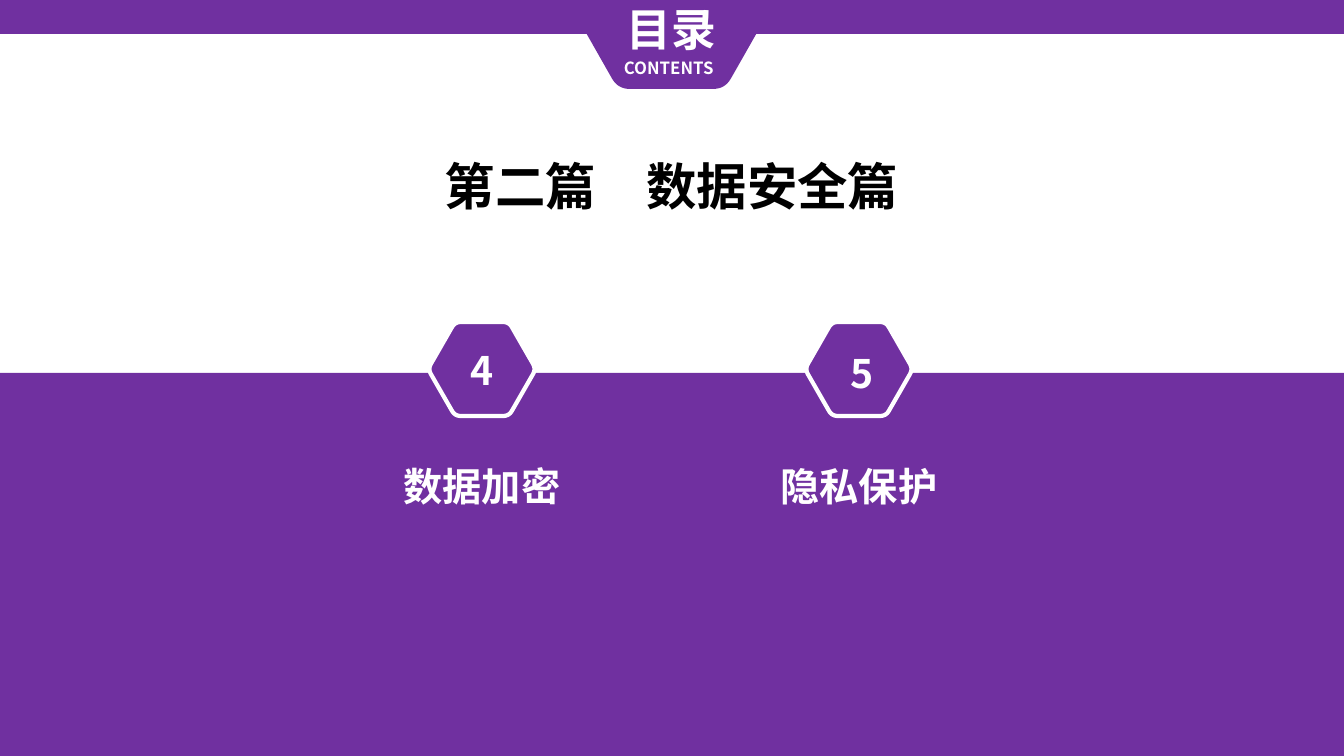
from dataclasses import dataclass
from math import dist

from pptx import Presentation
from pptx.dml.color import RGBColor
from pptx.enum.shapes import MSO_SHAPE
from pptx.enum.text import MSO_ANCHOR, MSO_AUTO_SIZE, PP_ALIGN
from pptx.oxml.ns import qn
from pptx.util import Emu, Pt

PAGE_WIDTH, PAGE_HEIGHT = 1344, 756
EMU_PER_PX = 12192000 / PAGE_WIDTH


@dataclass(frozen=True)
class Theme:
    font: str = "Noto Sans CJK SC"
    purple: RGBColor = RGBColor(0x70, 0x30, 0xA0)
    white: RGBColor = RGBColor(0xFF, 0xFF, 0xFF)
    black: RGBColor = RGBColor(0, 0, 0)
    title_size: int = 36
    heading_size: int = 32
    item_size: int = 28
    caption_size: int = 12
    outline: int = 3


THEME = Theme()


def px(length):
    return Emu(round(length * EMU_PER_PX))


def place(box, left, top, width, height):
    box.left, box.top, box.width, box.height = map(px, (left, top, width, height))


def write(box, text, size, color, align=PP_ALIGN.CENTER):
    box.text_frame.text = text
    para = box.text_frame.paragraphs[0]
    para.alignment = align
    span = para.runs[0]
    span.font.name = THEME.font
    span.font.size = Pt(size)
    span.font.bold = True
    span.font.color.rgb = color
    east_asian = span.font._element.makeelement(qn("a:ea"), {"typeface": THEME.font})
    span.font._element.find(qn("a:latin")).addnext(east_asian)
    return para


def add_text(page, text, area, size, align=PP_ALIGN.CENTER, wrap=True):
    box = page.shapes.add_textbox(*map(px, area))
    frame = box.text_frame
    frame.word_wrap = wrap
    frame.auto_size = MSO_AUTO_SIZE.SHAPE_TO_FIT_TEXT
    if wrap:
        frame.margin_left = frame.margin_right = px(7)
        frame.margin_top = frame.margin_bottom = px(4)
    write(box, text, size, THEME.white, align)


def paint(shape, outlined=False):
    shape.shadow.inherit = False
    shape.fill.solid()
    shape.fill.fore_color.rgb = THEME.purple
    if outlined:
        shape.line.color.rgb = THEME.white
        shape.line.width = Pt(THEME.outline)
    else:
        shape.line.fill.background()


def add_band(page, top, height):
    band = page.shapes.add_shape(
        MSO_SHAPE.RECTANGLE, px(0), px(top), px(PAGE_WIDTH), px(height))
    paint(band)


def toward(start, end, distance):
    share = distance / dist(start, end)
    return tuple(a + (b - a) * share for a, b in zip(start, end))


def round_corner(before, corner, after, cut, steps=8):
    """Return points of a quadratic curve that starts and ends cut px from the corner."""
    if not cut:
        return [corner]
    first, last = toward(corner, before, cut), toward(corner, after, cut)
    return [
        tuple((1 - t) ** 2 * a + 2 * t * (1 - t) * b + t ** 2 * c
              for a, b, c in zip(first, corner, last))
        for t in (step / steps for step in range(steps + 1))
    ]


def add_rounded_polygon(page, corners, cuts, outlined=False):
    points = []
    for index, corner in enumerate(corners):
        after = corners[(index + 1) % len(corners)]
        points += round_corner(corners[index - 1], corner, after, cuts[index])
    points = [(px(x), px(y)) for x, y in points]
    builder = page.shapes.build_freeform(*points[0])
    builder.add_line_segments(points[1:], close=True)
    paint(builder.convert_to_shape(), outlined)


def add_hexagon(page, center_x, center_y):
    corners = [(center_x + x, center_y + y) for x, y in (
        (-54, 0), (-27, -47), (27, -47), (54, 0), (27, 47), (-27, 47))]
    add_rounded_polygon(page, corners, [6] * 6, outlined=True)


def add_chapter(page, number, name, center_x, number_left, number_top, name_width):
    add_hexagon(page, center_x, 369)
    add_text(page, number, (number_left, number_top, 104, 55), THEME.item_size)
    add_text(page, name, (center_x - name_width // 2, 458, name_width, 55), THEME.item_size)


def add_banner(page):
    corners = [(568, 1), (775, 1), (725, 89), (618, 89)]
    add_rounded_polygon(page, corners, [0, 0, 12, 12])
    add_text(page, "目录", (616, -3, 111, 65), THEME.heading_size, wrap=False)
    add_text(page, "CONTENTS", (614, 53, 115, 30), THEME.caption_size,
             PP_ALIGN.LEFT, wrap=False)


def set_title(page, text):
    title = page.shapes.title
    place(title, 167, 58, 1009, 263)
    title.text_frame.vertical_anchor = MSO_ANCHOR.MIDDLE
    write(title, text, THEME.title_size, THEME.black).line_spacing = 0.9


def main():
    deck = Presentation()
    deck.slide_width, deck.slide_height = px(PAGE_WIDTH), px(PAGE_HEIGHT)
    page = deck.slides.add_slide(deck.slide_layouts[5])
    set_title(page, "第二篇　数据安全篇")
    add_band(page, -1, 35)
    add_band(page, 373, 383)
    add_chapter(page, "4", "数据加密", 482, 430, 342, 326)
    add_chapter(page, "5", "隐私保护", 859, 810, 345, 272)
    add_banner(page)
    deck.save("out.pptx")


if __name__ == "__main__":
    main()
